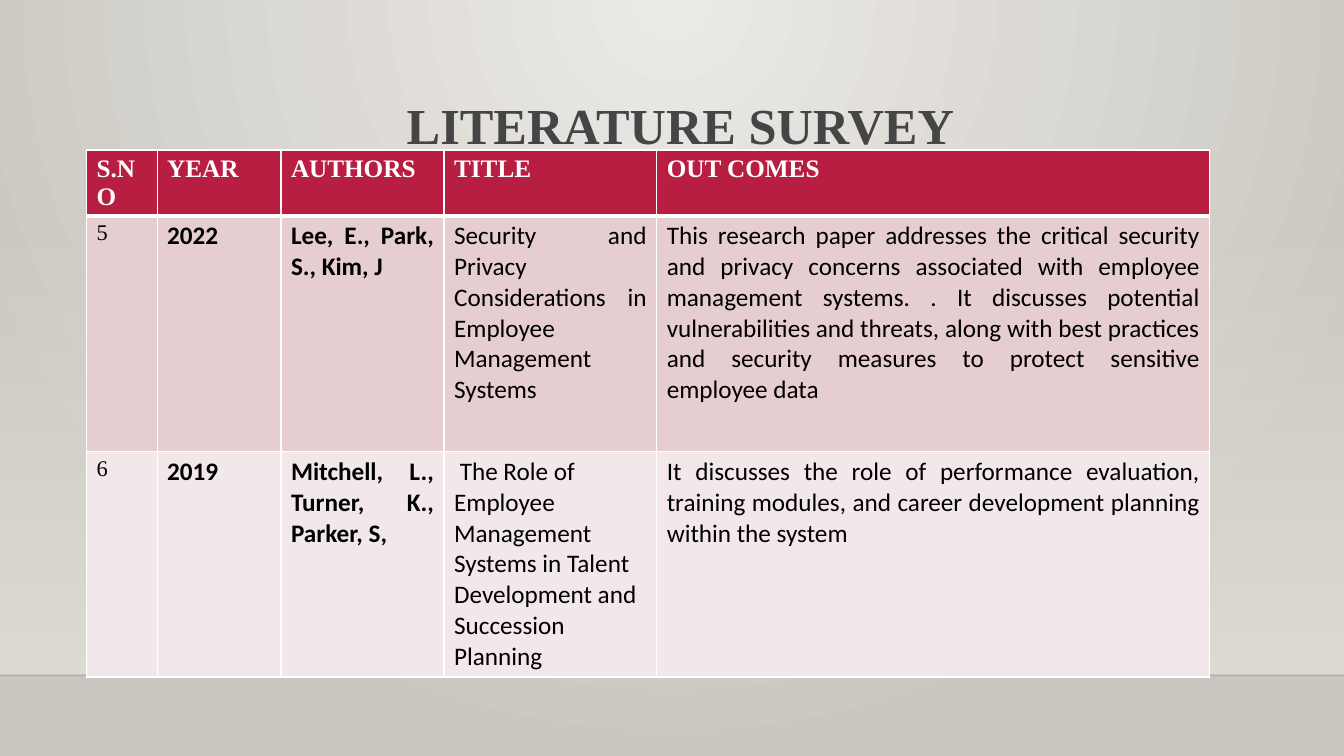
from dataclasses import dataclass

from pptx import Presentation
from pptx.dml.color import RGBColor
from pptx.enum.shapes import MSO_CONNECTOR, MSO_SHAPE
from pptx.enum.text import PP_ALIGN
from pptx.oxml import parse_xml
from pptx.oxml.ns import nsdecls
from pptx.oxml.xmlchemy import OxmlElement
from pptx.util import Cm, Pt

WHITE = RGBColor(0xFF, 0xFF, 0xFF)
BLACK = RGBColor(0, 0, 0)
HORIZON = RGBColor(0, 0, 1)
CRIMSON = RGBColor(0xB7, 0x1E, 0x42)
ROSE = RGBColor(0xE6, 0xCD, 0xCF)
PALE_ROSE = RGBColor(0xF3, 0xE8, 0xE9)
CHARCOAL = RGBColor(0x45, 0x45, 0x45)
LIGHT_STONE = RGBColor(0xEC, 0xEA, 0xE7)
DARK_STONE = RGBColor(0xCA, 0xC7, 0xC1)
SAND = RGBColor(0xDF, 0xDB, 0xD5)

SERIF, SANS = "Times New Roman", "Calibri"
SLIDE_WIDTH, FLOOR_TOP = Cm(33.87), Cm(17.02)
COLUMN_WIDTHS = (1.78, 3.12, 4.11, 5.36, 13.94)
HEADINGS = ("S.NO", "YEAR", "AUTHORS", "TITLE", "OUT COMES")


@dataclass
class Paper:
    values: tuple[str, ...]
    fill: RGBColor
    height: float
    title_align: PP_ALIGN


@dataclass
class CellStyle:
    fill: RGBColor
    font: str = SANS
    size: int = 18
    bold: bool = False
    color: RGBColor = BLACK
    align: PP_ALIGN = PP_ALIGN.JUSTIFY
    bottom: int = 1


PAPERS = (
    Paper(("5", "2022", "Lee, E., Park, S., Kim, J",
           "Security and Privacy Considerations in Employee Management Systems",
           "This research paper addresses the critical security and privacy concerns "
           "associated with employee management systems. . It discusses potential "
           "vulnerabilities and threats, along with best practices and security "
           "measures to protect sensitive employee data"),
          ROSE, 5.94, PP_ALIGN.JUSTIFY),
    Paper(("6", "2019", "Mitchell, L., Turner, K., Parker, S, ",
           " The Role of Employee Management Systems in Talent Development and "
           "Succession Planning",
           "It discusses the role of performance evaluation, training modules, and "
           "career development planning within the system"),
          PALE_ROSE, 5.13, PP_ALIGN.LEFT),
)


def set_alpha(color, percent: int) -> None:
    alpha = OxmlElement("a:alpha")
    alpha.set("val", str(percent * 1000))
    color.append(alpha)


def set_gradient(fill, start: RGBColor, end: RGBColor) -> None:
    fill.gradient()
    for stop, color, position in zip(fill.gradient_stops, (start, end), (0, 1)):
        stop.color.rgb = color
        stop.position = position


def set_borders(cell, bottom: int) -> None:
    props = cell._tc.get_or_add_tcPr()
    for i, (side, width) in enumerate((("L", 1), ("R", 1), ("T", 1), ("B", bottom))):
        props.insert(i, parse_xml(
            f'<a:ln{side} {nsdecls("a")} w="{Pt(width)}"><a:solidFill>'
            f'<a:srgbClr val="{WHITE}"/></a:solidFill></a:ln{side}>'))


def fill_cell(cell, text: str, style: CellStyle) -> None:
    cell.fill.solid()
    cell.fill.fore_color.rgb = style.fill
    set_borders(cell, style.bottom)
    cell.text_frame.text = text
    p = cell.text_frame.paragraphs[0]
    p.alignment = style.align
    font = p.runs[0].font
    font.name, font.size, font.bold = style.font, Pt(style.size), style.bold
    font.color.rgb = style.color


def add_backdrop(s) -> None:
    # Radial glow from the top centre
    set_gradient(s.background.fill, LIGHT_STONE, DARK_STONE)
    glow = s.element.xpath(".//p:bgPr/a:gradFill")[0]
    glow.remove(glow.xpath("a:lin")[0])
    glow.append(parse_xml(
        f'<a:path {nsdecls("a")} path="circle">'
        '<a:fillToRect l="43000" r="43000" b="100000"/></a:path>'))

    # Wall fading in towards the floor
    wall_top = Cm(5.61)
    wall = s.shapes.add_shape(MSO_SHAPE.RECTANGLE, 0, wall_top,
                              SLIDE_WIDTH, FLOOR_TOP - wall_top)
    wall.shadow.inherit = False
    wall.line.fill.background()
    set_gradient(wall.fill, SAND, SAND)
    wall.fill.gradient_angle = 270
    set_alpha(wall.element.xpath(".//a:gs/a:srgbClr")[0], 0)

    # Floor line
    floor = s.shapes.add_connector(MSO_CONNECTOR.STRAIGHT, 0, FLOOR_TOP,
                                   SLIDE_WIDTH, FLOOR_TOP)
    floor.line.width = Pt(1)
    floor.line.color.rgb = HORIZON
    set_alpha(floor.element.xpath(".//a:ln//a:srgbClr")[0], 20)
    floor.element.spPr.append(OxmlElement("a:effectLst"))


def add_survey_table(s) -> None:
    heights = [1.55] + [paper.height for paper in PAPERS]
    table = s.shapes.add_table(len(heights), len(HEADINGS), Cm(2.18), Cm(3.78),
                               Cm(sum(COLUMN_WIDTHS)), Cm(sum(heights))).table
    for column, width in zip(table.columns, COLUMN_WIDTHS):
        column.width = Cm(width)
    for row, height in zip(table.rows, heights):
        row.height = Cm(height)

    heading_style = CellStyle(CRIMSON, SERIF, bold=True, color=WHITE,
                              align=PP_ALIGN.LEFT, bottom=3)
    for i, heading in enumerate(HEADINGS):
        fill_cell(table.cell(0, i), heading, heading_style)

    for row, paper in enumerate(PAPERS, 1):
        styles = (CellStyle(paper.fill, SERIF, 16),
                  CellStyle(paper.fill, bold=True),
                  CellStyle(paper.fill, bold=True),
                  CellStyle(paper.fill, align=paper.title_align),
                  CellStyle(paper.fill))
        for i, (value, style) in enumerate(zip(paper.values, styles)):
            fill_cell(table.cell(row, i), value, style)


def add_title(s) -> None:
    tf = s.shapes.add_textbox(Cm(3.94), Cm(1.19), Cm(23.88), Cm(2.59)).text_frame
    tf.word_wrap = True
    tf.text = "LITERATURE SURVEY"
    p = tf.paragraphs[0]
    p.alignment = PP_ALIGN.CENTER
    p.line_spacing = 1.7
    p.level = 2
    props = p._p.get_or_add_pPr()
    props.set("marL", str(Cm(2.54)))
    props.set("indent", "0")
    font = p.runs[0].font
    font.name, font.size, font.bold = SERIF, Pt(36), True
    font.color.rgb = CHARCOAL


def main() -> None:
    prs = Presentation()
    prs.slide_width, prs.slide_height = SLIDE_WIDTH, Cm(19.05)
    s = prs.slides.add_slide(prs.slide_layouts[6])
    add_backdrop(s)
    add_survey_table(s)
    add_title(s)
    prs.save("out.pptx")


if __name__ == "__main__":
    main()
